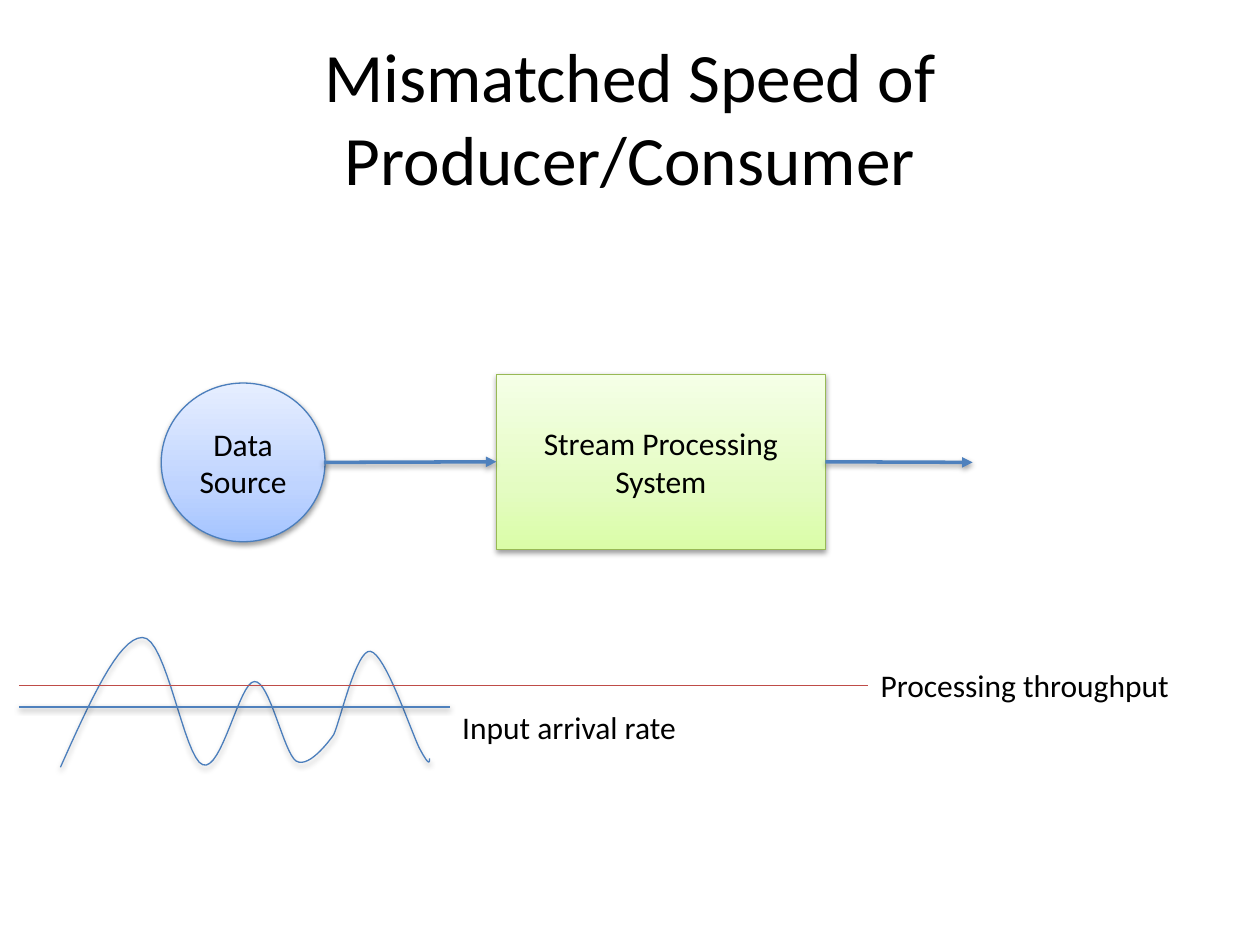
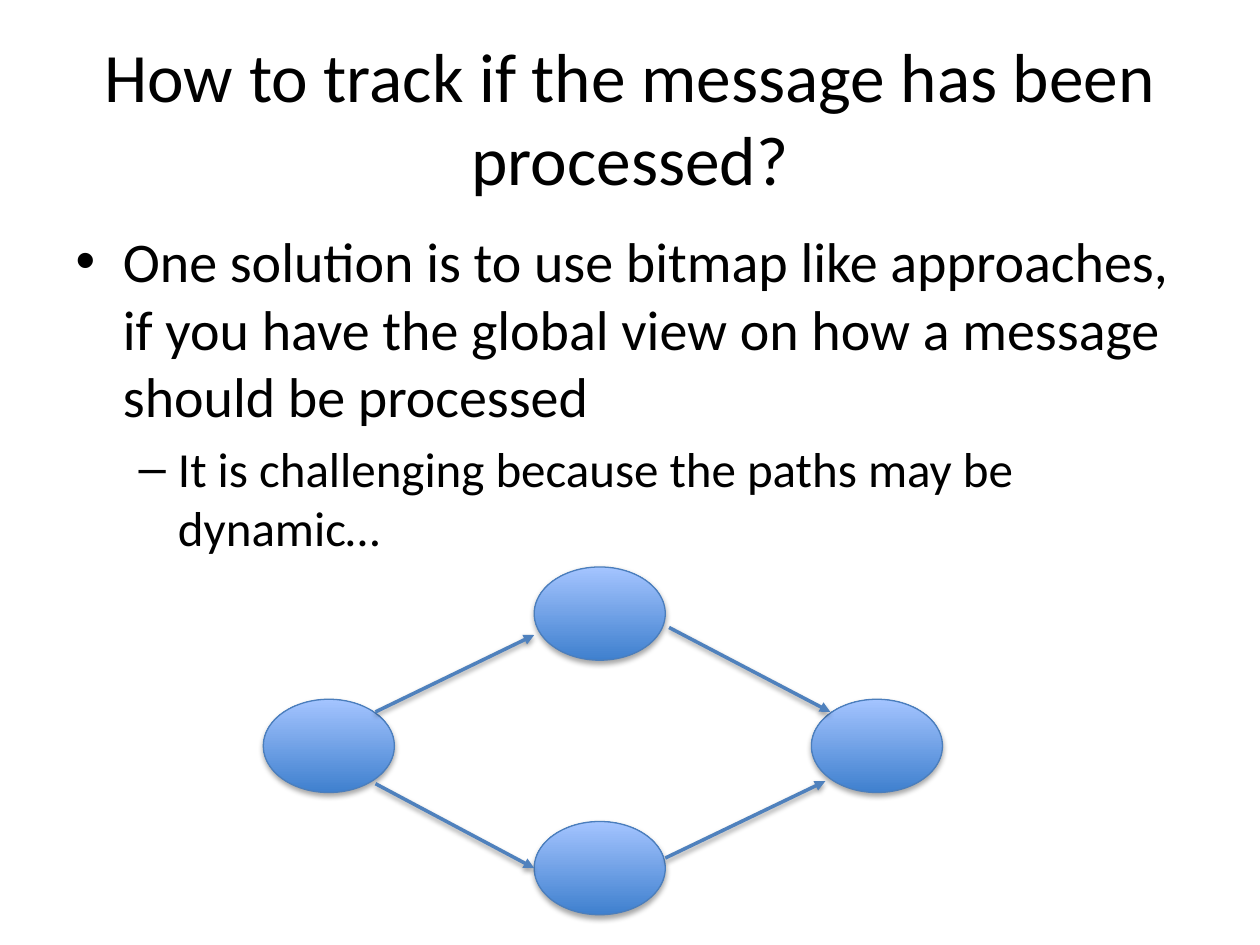
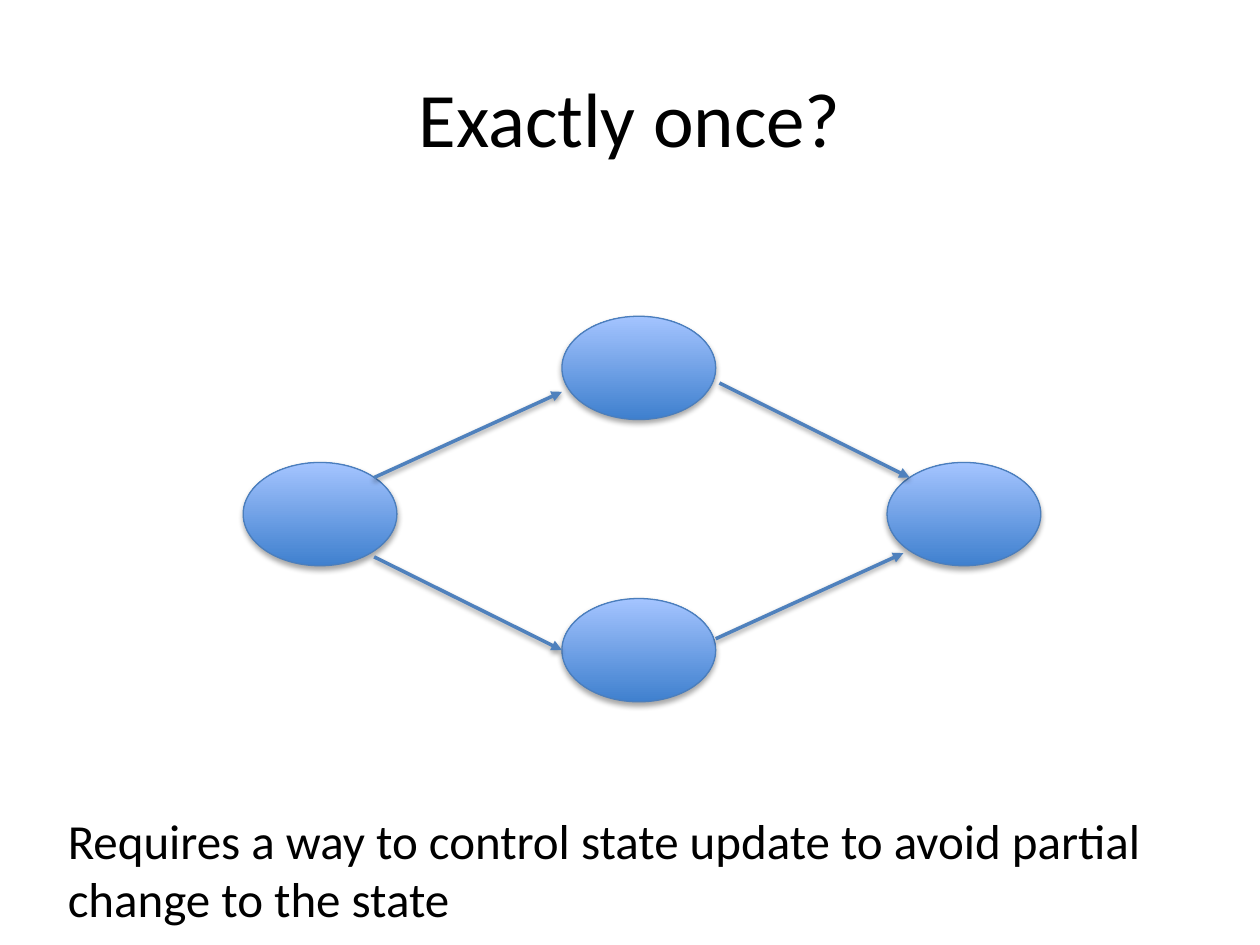
from typing import Any, NamedTuple

from lxml import etree
from pptx import Presentation
from pptx.dml.color import RGBColor
from pptx.enum.shapes import MSO_CONNECTOR, MSO_SHAPE
from pptx.enum.text import MSO_ANCHOR, MSO_AUTO_SIZE, PP_ALIGN
from pptx.oxml.ns import qn
from pptx.util import Pt

# Scale: 100 px to the inch
PX = 9144

OVAL, RECT = MSO_SHAPE.OVAL, MSO_SHAPE.RECTANGLE
STRAIGHT = MSO_CONNECTOR.STRAIGHT
CENTER, MIDDLE = PP_ALIGN.CENTER, MSO_ANCHOR.MIDDLE
GROW, FIXED = MSO_AUTO_SIZE.SHAPE_TO_FIT_TEXT, MSO_AUTO_SIZE.NONE
LEFT, RIGHT = 1, 3  # connection sites of a rectangle

# Colours
BLACK = RGBColor(0x00, 0x00, 0x00)
BLUE = RGBColor(0x4F, 0x81, 0xBD)
EDGE = RGBColor(0x4B, 0x7E, 0xBC)
LEAF = RGBColor(0x98, 0xB9, 0x55)
RED = RGBColor(0xBF, 0x4C, 0x48)

# Gradients run from bottom to top: percent and colour
Ramp = tuple[tuple[int, RGBColor], ...]
SKY: Ramp = ((0, RGBColor(0xA4, 0xC4, 0xFF)), (35, RGBColor(0xBF, 0xD4, 0xFF)),
             (100, RGBColor(0xE6, 0xEE, 0xFF)))
LIME: Ramp = ((0, RGBColor(0xDA, 0xFD, 0xA7)), (35, RGBColor(0xE4, 0xFC, 0xC2)),
              (100, RGBColor(0xF5, 0xFF, 0xE7)))
DEEP: Ramp = ((0, RGBColor(0x3F, 0x80, 0xCE)), (100, RGBColor(0xA4, 0xC4, 0xFF)))


class Box(NamedTuple):
    x: int
    y: int
    w: int
    h: int


class Seg(NamedTuple):
    x1: int
    y1: int
    x2: int
    y2: int


class Shade(NamedTuple):
    alpha: int  # percent
    dist: int  # EMU


SOFT, FAR = Shade(38, 20000), Shade(35, 23000)
BLUR = 40000

TITLE = Box(50, 30, 900, 125)
BODY = Box(50, 175, 900, 495)

# Diamond of four nodes, measured from its top left corner
NODES = [Box(x, y, 122, 82) for x, y in ((0, 116), (253, 0), (253, 224), (511, 116))]
LINKS = [Seg(104, 128, 253, 60), Seg(104, 191, 253, 265),
         Seg(378, 53, 529, 128), Seg(375, 256, 524, 188)]
SPAN = (633, 306)

# Arrival wave: start, then two control points and an end for each curve
START = (48, 609)
WAVE = [
    ((71, 558), (94, 506), (113, 506)),
    ((132, 505), (146, 602), (161, 607)),
    ((176, 613), (190, 541), (202, 541)),
    ((214, 540), (225, 597), (235, 604)),
    ((246, 611), (265, 583), (265, 583)),
    ((270, 572), (283, 515), (294, 517)),
    ((306, 519), (326, 580), (333, 594)),
    ((341, 609), (341, 605), (341, 602)),
]
STEPS = 16


def put(item: Any, **fmt: Any) -> None:
    for key, val in fmt.items():
        setattr(item, key, val)


def place(item: Any, box: Box) -> None:
    put(item, left=box.x * PX, top=box.y * PX, width=box.w * PX, height=box.h * PX)


def write(par: Any, text: str, size: float) -> None:
    par.text = text
    put(par.font, name="Calibri", size=Pt(size))
    par.font.color.rgb = BLACK


def cast(item: Any, shade: Shade | None) -> None:
    """Give a drawn item its shadow, or none."""
    effect = etree.SubElement(item._element.spPr, qn("a:effectLst"))
    if shade:
        drop = etree.SubElement(effect, qn("a:outerShdw"), blurRad=str(BLUR),
                                dist=str(shade.dist), dir="5400000", rotWithShape="0")
        tint = etree.SubElement(drop, qn("a:srgbClr"), val=str(BLACK))
        etree.SubElement(tint, qn("a:alpha"), val=str(shade.alpha * 1000))


def stroke(item: Any, color: RGBColor, width: float) -> None:
    item.line.color.rgb = color
    item.line.width = Pt(width)


def ramp(item: Any, stops: Ramp) -> None:
    item.fill.gradient()
    item.fill.gradient_angle = 90
    node = item._element.spPr.find(".//" + qn("a:gsLst"))
    for old in list(node):
        node.remove(old)
    for part, color in stops:
        stop = etree.SubElement(node, qn("a:gs"), pos=str(part * 1000))
        etree.SubElement(stop, qn("a:srgbClr"), val=str(color))


def shape(pool: Any, kind: Any, box: Box, stops: Ramp, edge: RGBColor,
          shade: Shade, text: str = "") -> Any:
    item = pool.add_shape(kind, *(n * PX for n in box))
    ramp(item, stops)
    stroke(item, edge, 0.75)
    cast(item, shade)
    if text:
        put(item.text_frame, word_wrap=True, vertical_anchor=MIDDLE)
        par = item.text_frame.paragraphs[0]
        write(par, text, 18)
        par.alignment = CENTER
    return item


def line(pool: Any, seg: Seg, color: RGBColor = BLUE, width: float = 2,
         head: bool = True, shade: Shade | None = SOFT) -> Any:
    item = pool.add_connector(STRAIGHT, *(n * PX for n in seg))
    stroke(item, color, width)
    if head:
        etree.SubElement(item._element.spPr.find(qn("a:ln")), qn("a:tailEnd"),
                         type="triangle")
    cast(item, shade)
    return item


def label(pool: Any, box: Box, text: str, size: float) -> None:
    item = pool.add_textbox(*(n * PX for n in box))
    put(item.text_frame, word_wrap=True, auto_size=GROW)
    write(item.text_frame.paragraphs[0], text, size)


def wave(pool: Any) -> None:
    dots, last = [], START
    for curve in WAVE:
        knots = (last, *curve)
        for step in range(1, STEPS + 1):
            t = step / STEPS
            mix = ((1 - t) ** 3, 3 * t * (1 - t) ** 2, 3 * t * t * (1 - t), t ** 3)
            dots.append(tuple(round(PX * sum(m * k[axis] for m, k in zip(mix, knots)))
                              for axis in (0, 1)))
        last = curve[-1]
    pen = pool.build_freeform(*(n * PX for n in START))
    pen.add_line_segments(dots, close=False)
    item = pen.convert_to_shape()
    item.fill.background()
    stroke(item, EDGE, 0.75)
    cast(item, FAR)


def diamond(pool: Any, area: Box) -> None:
    """Fit the four nodes and their arrows into an area."""
    kx, ky = area.w / SPAN[0], area.h / SPAN[1]

    def fit(x: int, y: int) -> tuple[int, int]:
        return area.x + round(x * kx), area.y + round(y * ky)

    for node in NODES:
        box = Box(*fit(node.x, node.y), round(node.w * kx), round(node.h * ky))
        shape(pool, OVAL, box, DEEP, EDGE, FAR)
    for link in LINKS:
        line(pool, Seg(*fit(link.x1, link.y1), *fit(link.x2, link.y2)))


def page(deck: Any, layout: int, title: str, size: float = 39.6) -> Any:
    slide = deck.slides.add_slide(deck.slide_layouts[layout])
    head = slide.shapes.title
    place(head, TITLE)
    put(head.text_frame, vertical_anchor=MIDDLE, auto_size=FIXED)
    write(head.text_frame.paragraphs[0], title, size)
    head.text_frame.paragraphs[0].alignment = CENTER
    return slide


def speed(deck: Any) -> None:
    pool = page(deck, 5, "Mismatched Speed of Producer/Consumer").shapes
    shape(pool, OVAL, Box(128, 304, 130, 126), SKY, EDGE, SOFT, "Data Source")
    stream = shape(pool, RECT, Box(394, 297, 261, 139), LIME, LEAF, SOFT,
                   "Stream Processing System")
    line(pool, Seg(257, 367, 394, 367)).end_connect(stream, LEFT)
    line(pool, Seg(656, 367, 772, 367)).begin_connect(stream, RIGHT)

    # Rates
    wave(pool)
    line(pool, Seg(15, 561, 357, 561), width=1, head=False)
    line(pool, Seg(15, 544, 689, 544), RED, 1, head=False, shade=None)
    label(pool, Box(689, 524, 261, 40), "Processing throughput", 18)
    label(pool, Box(357, 557, 250, 40), "Input arrival rate", 18)


def track(deck: Any) -> None:
    slide = page(deck, 1, "How to track if the message has been processed?")
    body = slide.placeholders[1]
    place(body, BODY)
    frame = body.text_frame
    frame.auto_size = FIXED
    first = frame.paragraphs[0]
    write(first, "One solution is to use bitmap like approaches, if you have the "
                 "global view on how a message should be processed", 32)
    first.space_before = Pt(0)
    sub = frame.add_paragraph()
    sub.level = 1
    write(sub, "It is challenging because the paths may be dynamic…", 28)
    diamond(slide.shapes.add_group_shape().shapes, Box(209, 450, 539, 276))


def once(deck: Any) -> None:
    pool = page(deck, 5, "Exactly once?", 44).shapes
    diamond(pool, Box(193, 251, *SPAN))
    label(pool, Box(44, 638, 913, 104), "Requires a way to control state update "
          "to avoid partial change to the state", 28)


def main() -> None:
    deck = Presentation()
    put(deck, slide_width=1000 * PX, slide_height=750 * PX)
    for build in (speed, track, once):
        build(deck)
    deck.save("out.pptx")


if __name__ == "__main__":
    main()
